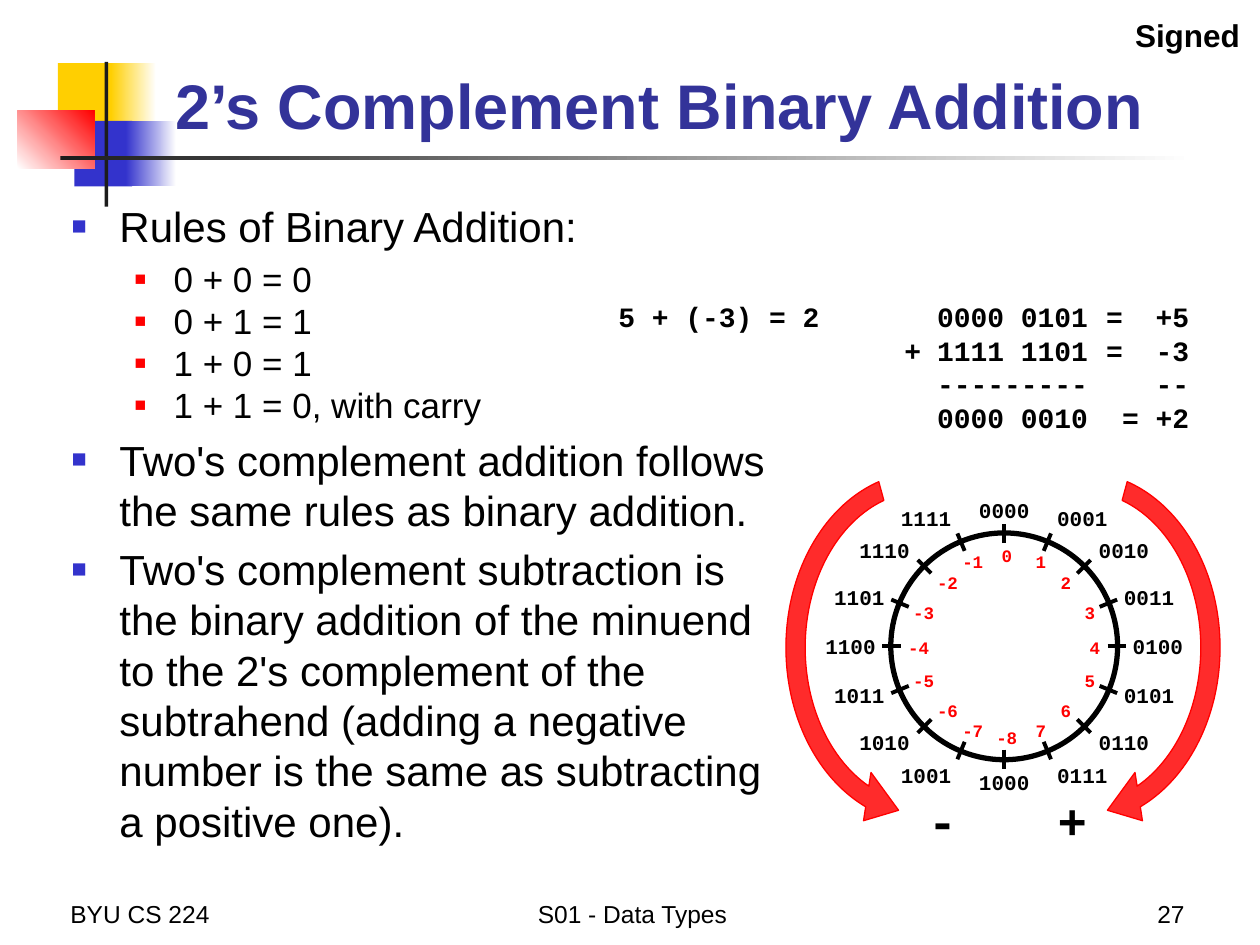
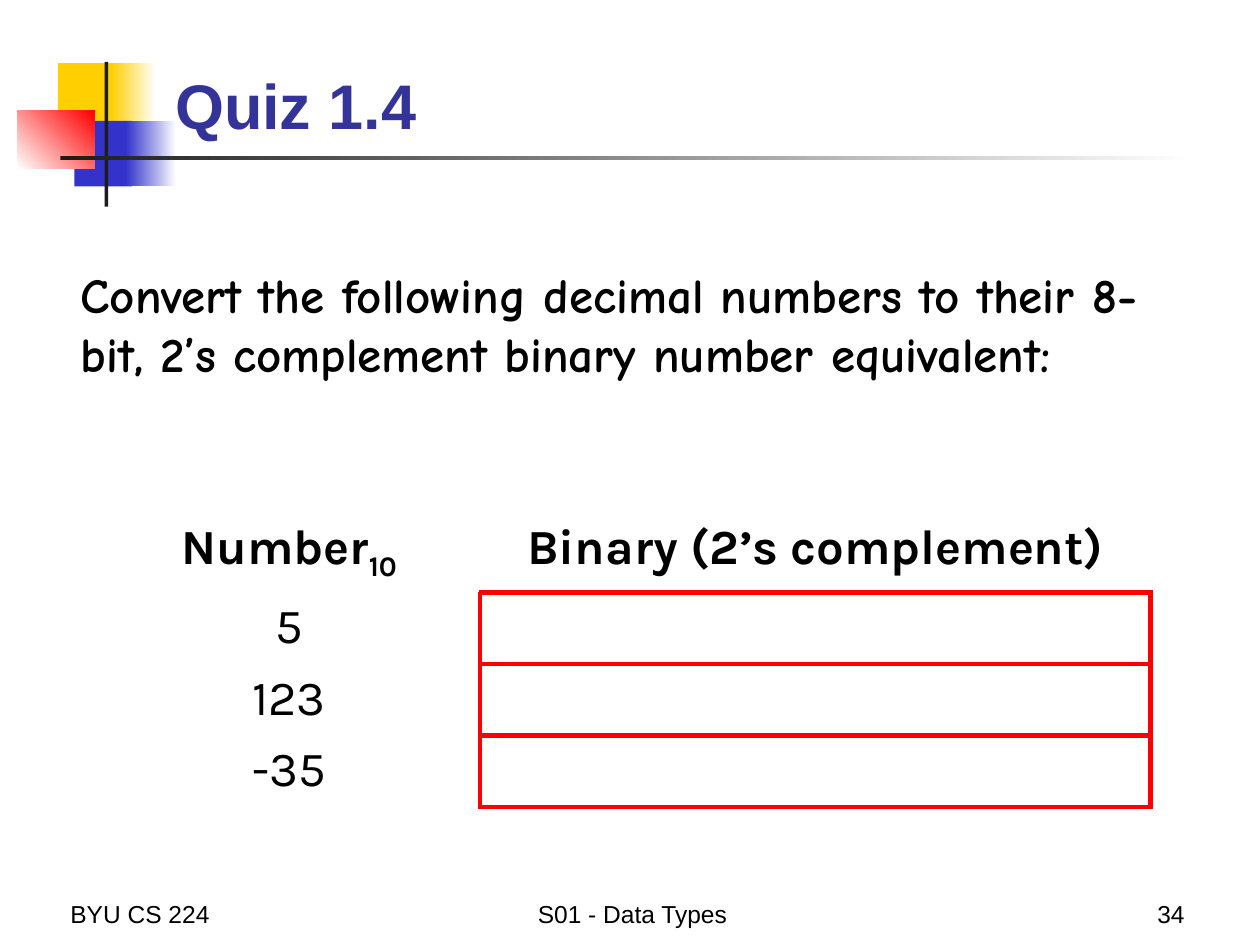
from math import cos, pi, sin
from lxml import etree
from pptx import Presentation
from pptx.dml.color import RGBColor
from pptx.enum.shapes import MSO_CONNECTOR, MSO_SHAPE
from pptx.enum.text import MSO_ANCHOR, PP_ALIGN
from pptx.oxml.ns import qn
from pptx.util import Inches, Pt

RECT, OVAL = MSO_SHAPE.RECTANGLE, MSO_SHAPE.OVAL
ARC = MSO_SHAPE.CIRCULAR_ARROW
LINE = MSO_CONNECTOR.STRAIGHT
LEFT, MID, RIGHT = PP_ALIGN.LEFT, PP_ALIGN.CENTER, PP_ALIGN.RIGHT
TOP, LOW, HALF = MSO_ANCHOR.TOP, MSO_ANCHOR.BOTTOM, MSO_ANCHOR.MIDDLE

COLS, ROWS = 10, 7.5
BLACK, WHITE, RED = "000000", "FFFFFF", "FF0000"
GOLD, BLUE, INK, NAVY = "FFCF01", "3333CC", "1C1C1C", "333399"
SANS, MONO, COMIC, KARLA = "Arial", "Courier New", "Comic Neue", "Karla"
LEAD = 1.2

RULES = [
    (0, "Rules of Binary Addition:"),
    (1, "0 + 0 = 0"),
    (1, "0 + 1 = 1"),
    (1, "1 + 0 = 1"),
    (1, "1 + 1 = 0, with carry"),
    (0, "Two's complement addition follows the same rules as binary addition."),
    (0, "Two's complement subtraction is the binary addition of the minuend to the "
        "2's complement of the subtrahend (adding a negative number is the same as "
        "subtracting a positive one)."),
]
SUM = [
    "5 + (-3) = 2\t\t0000 0101\t=\t+5",
    "\t+\t1111 1101\t=\t-3",
    "\t\t---------\t\t--",
    "\t\t0000 0010\t\t= +2",
]
STOPS = [(2.27, "l"), (2.53, "l"), (3.87, "l"), (4.53, "r")]
LEVELS = [(24, 0.38, 0.38, BLUE, 60), (20, 0.81, 0.31, RED, 55)]
OUTER = [(0, 1.08), (0.62, 1.02), (0.95, 0.76), (1.15, 0.39), (1.22, 0)]
INNER = [(0, 0.72), (0.27, 0.67), (0.47, 0.51), (0.66, 0.27), (0.7, 0.01)]


def tint(code):
    """Turn a hex string into a colour."""
    return RGBColor.from_string(code)


def cell(box):
    """Turn grid columns and rows into lengths."""
    return [Inches(n) for n in box]


def within(box, x, y, w, h):
    """Place a part relative to the corner of its box."""
    return box[0] + x, box[1] + y, w, h


def node(root, tag, **keys):
    """Add an XML child with its attributes."""
    kid = etree.SubElement(root, qn(tag))
    for key, val in keys.items():
        kid.set(key, str(val))
    return kid


def style(run, size, font, color=BLACK, bold=False):
    """Set the look of one run."""
    run.font.size = Pt(size)
    run.font.name = font
    run.font.bold = bold
    run.font.color.rgb = tint(color)


def frame(slide, box, anchor=TOP, inset=None):
    """Add a wrapping text box and return its frame."""
    text = slide.shapes.add_textbox(*cell(box)).text_frame
    text.word_wrap = True
    text.vertical_anchor = anchor
    if inset is not None:
        text.margin_left = text.margin_right = Inches(inset)
        text.margin_top = text.margin_bottom = Inches(inset)
    return text


def put(text, words, size, font, color=BLACK, bold=False, align=LEFT):
    """Add one paragraph of one run."""
    para = text.paragraphs[0]
    if para.runs:
        para = text.add_paragraph()
    para.alignment = align
    para.line_spacing = Pt(LEAD * size)
    run = para.add_run()
    run.text = words
    style(run, size, font, color, bold)
    return para


def paint(slide, kind, box, fill=None, line=None, width=1):
    """Add a flat shape with an optional fill and line."""
    shape = slide.shapes.add_shape(kind, *cell(box))
    shape.shadow.inherit = False
    if fill:
        shape.fill.solid()
        shape.fill.fore_color.rgb = tint(fill)
    else:
        shape.fill.background()
    if line:
        shape.line.color.rgb = tint(line)
        shape.line.width = Pt(width)
    else:
        shape.line.fill.background()
    return shape


def fade(shape, start, end, angle=0):
    """Blend a shape from one colour to another."""
    shape.fill.gradient()
    shape.fill.gradient_angle = angle
    for stop, code in zip(shape.fill.gradient_stops, (start, end)):
        stop.color.rgb = tint(code)


def motif(slide, box):
    """Draw the coloured squares and crossing rules."""
    def block(*part):
        return paint(slide, RECT, within(box, *part), INK)

    for x, y, w, gap, wide, code in [(0.32, 0.01, 0.48, 0.42, 0.36, GOLD),
                                     (0.45, 0.47, 0.46, 0.41, 0.4, BLUE)]:
        block(x, y, w, 0.52).fill.fore_color.rgb = tint(code)
        fade(block(x + gap, y, wide, 0.52), code, WHITE)
    fade(block(0, 0.39, 0.61, 0.46), WHITE, RED, 45)
    block(0.69, 0, 0.03, 1.15)
    fade(block(0.34, 0.75, 9, 0.03), INK, WHITE)


def footer(slide, box, page):
    """Write the course, topic and page number."""
    for x, w, words, align in [(0, 2.08, "BYU CS 224", LEFT),
                               (2.46, 4.2, "S01 - Data Types", MID),
                               (6.96, 2.08, page, RIGHT)]:
        text = frame(slide, within(box, x, 0, w, box[3]), LOW)
        put(text, words, 14, SANS, align=align)


def base(deck, words, page):
    """Start a slide with the motif, title and footer."""
    slide = deck.slides.add_slide(deck.slide_layouts[5])
    motif(slide, (0.14, 0.49, 9.34, 1.15))
    title = slide.shapes.title
    title.element.getparent().append(title.element)
    title.left, title.top, title.width, title.height = cell((1.29, 0.23, 8.52, 0.95))
    text = title.text_frame
    text.vertical_anchor = LOW
    para = text.paragraphs[0]
    para.alignment = LEFT
    run = para.add_run()
    run.text = words
    style(run, 36, SANS, NAVY, True)
    footer(slide, (0.46, 6.92, 9.04, 0.5), page)
    return slide


def rules(slide, box):
    """Write the two-level bullet list."""
    text = frame(slide, box)
    last = None
    for level, words in RULES:
        size, left, hang, code, share = LEVELS[level]
        para = put(text, words, size, SANS)
        para.level = level
        if last is not None and (level, last) != (1, 1):
            para.space_before = Pt(size * 0.2)
        last = level
        props = para._p.get_or_add_pPr()
        props.set("marL", str(Inches(left)))
        props.set("indent", str(-Inches(hang)))
        node(node(props, "a:buClr"), "a:srgbClr", val=code)
        node(props, "a:buSzPct", val=share * 1000)
        node(props, "a:buFont", typeface=SANS)
        node(props, "a:buChar", char="■")


def sums(slide, box):
    """Write the worked sum on shared tab stops."""
    text = frame(slide, box)
    for words in SUM:
        para = put(text, words, 16, MONO, bold=True)
        tabs = node(para._p.get_or_add_pPr(), "a:tabLst")
        for spot, side in STOPS:
            node(tabs, "a:tab", pos=Inches(spot), algn=side)


def label(slide, x, y, w, h, words, size, color=BLACK):
    """Centre a bold code label on a point."""
    text = frame(slide, (x - w / 2, y - h / 2, w, h), HALF, 0)
    put(text, words, size, MONO, color, True, MID)


def dial(slide, box):
    """Draw the number circle with its ticks and labels."""
    paint(slide, OVAL, box, line=BLACK, width=3)
    rad = box[2] / 2
    cx, cy = box[0] + rad, box[1] + rad
    for code in range(16):
        turn = code * pi / 8
        ends = [n for r in (rad - 0.08, rad + 0.07)
                for n in (cx + r * sin(turn), cy - r * cos(turn))]
        tick = slide.shapes.add_connector(LINE, *cell(ends))
        tick.line.color.rgb = tint(BLACK)
        tick.line.width = Pt(2.25)
        node(tick.element.spPr, "a:effectLst")
        step = min(code % 8, 8 - code % 8)
        across = 1 if code < 8 else -1
        down = -1 if code < 4 or code > 12 else 1
        x, y = OUTER[step]
        label(slide, cx + across * x, cy + down * y, 0.5, 0.2, f"{code:04b}", 12)
        x, y = INNER[step]
        value = code if code < 8 else code - 16
        label(slide, cx + 0.02 + across * x, cy + down * y, 0.25, 0.17,
              str(value), 10, RED)


def arrows(slide, box):
    """Draw the two mirrored arrows with their signs."""
    for x, turn, sign, spot in [(1.26, 90, "+", 2.69), (0, 270, "-", 1.66)]:
        arc = paint(slide, ARC, within(box, x, 0, 3.02, 2.42), RED)
        for i, val in enumerate((0.063, 7.179, 203.566, 117.071, 0.08)):
            arc.adjustments[i] = val
        arc.rotation = turn
        if sign == "-":
            arc.element.spPr.xfrm.set("flipH", "1")
        node(arc.element.spPr.find(".//" + qn("a:srgbClr")), "a:alpha", val=83000)
        arc.line.color.rgb = tint(RED)
        arc.line.width = Pt(0.75)
        label(slide, box[0] + spot, box[1] + 2.58, 0.38, 0.57, sign, 28)


def edge(item, **sides):
    """Set the border colour of each side of a cell."""
    props = item._tc.get_or_add_tcPr()
    for i, side in enumerate("LRTB"):
        code = sides.get(side, WHITE)
        line = node(props, "a:ln" + side, w=Pt(1 if code == WHITE else 3))
        node(node(line, "a:solidFill"), "a:srgbClr", val=code)
        props.insert(i, line)


def answers(slide, box):
    """Build the table with empty answer cells."""
    table = slide.shapes.add_table(4, 2, *cell(box)).table
    table.first_row = table.horz_banding = False
    for col, wide in zip(table.columns, (3.03, 5.32)):
        col.width = Inches(wide)
    rows = [([("Number", 0), ("10", -25000)], [("Binary (2’s complement)", 0)])]
    rows += [([(n, 0)], []) for n in ("5", "123", "-35")]
    for r, row in enumerate(rows):
        table.rows[r].height = Inches(0.56 if r else 0.6)
        for c, runs in enumerate(row):
            item = table.cell(r, c)
            item.fill.background()
            para = item.text_frame.paragraphs[0]
            para.alignment = MID
            for words, shift in runs:
                run = para.add_run()
                run.text = words
                style(run, 28, KARLA, bold=r == 0)
                if shift:
                    run.font._element.set("baseline", str(shift))
            if r and c:
                edge(item, L=RED, R=RED, T=RED, B=RED)
            elif r:
                edge(item, R=RED)
            else:
                edge(item, B=RED if c else WHITE)


def adding(deck):
    """Build the slide on binary addition."""
    slide = base(deck, "2’s Complement Binary Addition", "27")
    rules(slide, (0.47, 1.54, 5.83, 5.3))
    sums(slide, (4.81, 2.33, 4.98, 1.17))
    put(frame(slide, (7.07, 0.08, 2.87, 0.4)), "Signed", 18, SANS, bold=True, align=RIGHT)
    dial(slide, (7.07, 4.23, 1.8, 1.8))
    arrows(slide, (5.82, 3.93, 4.28, 2.42))


def quiz(deck):
    """Build the quiz slide."""
    slide = base(deck, "Quiz 1.4", "34")
    answers(slide, (0.78, 4.07, 8.35, 2.28))
    put(frame(slide, (0.54, 2.05, 8.72, 1.57)),
        "Convert the following decimal numbers to their 8-bit, 2’s complement "
        "binary number equivalent:", 28, COMIC, bold=True)


def main():
    """Build and save the deck."""
    deck = Presentation()
    deck.slide_width, deck.slide_height = cell((COLS, ROWS))
    adding(deck)
    quiz(deck)
    deck.save("out.pptx")


if __name__ == "__main__":
    main()
